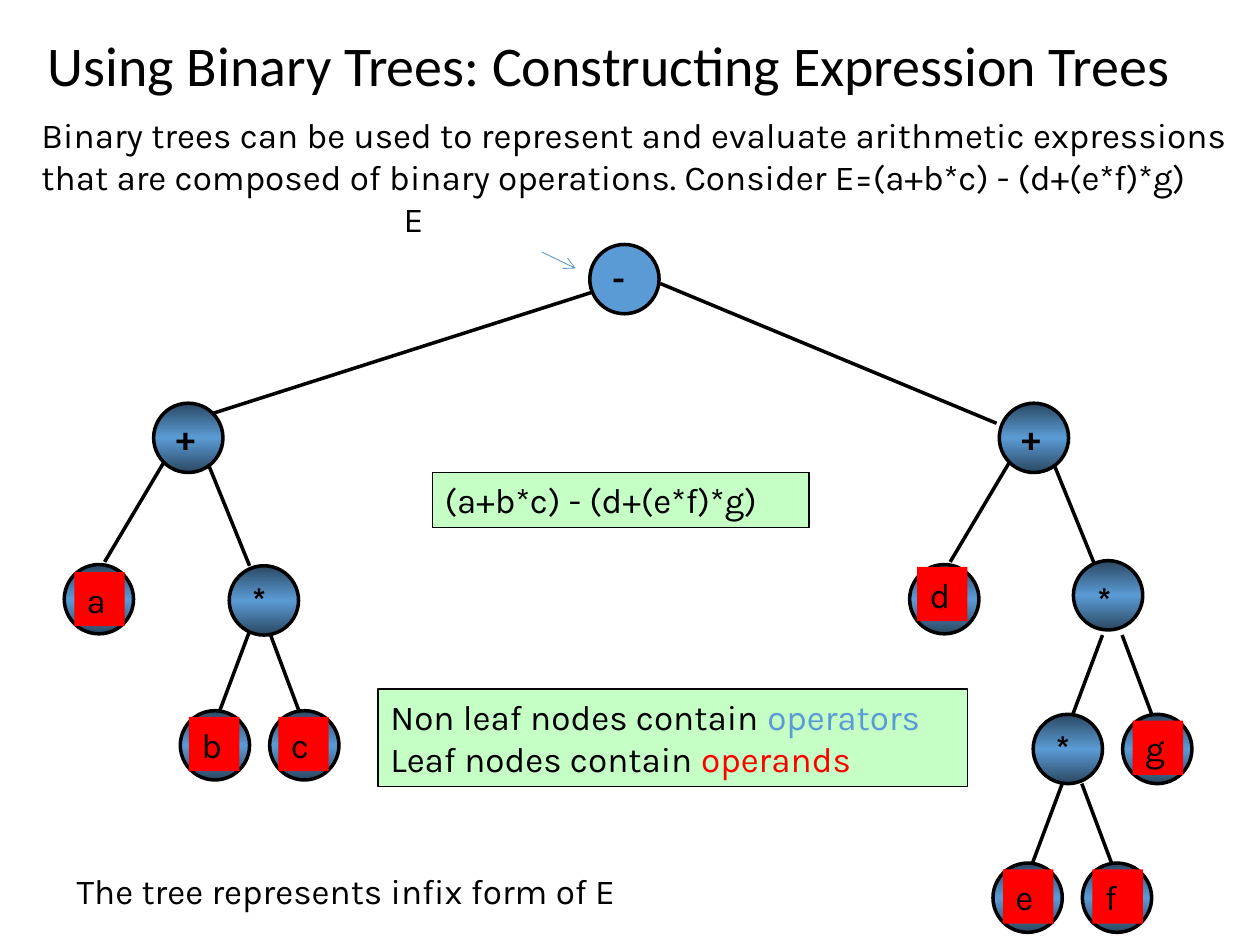
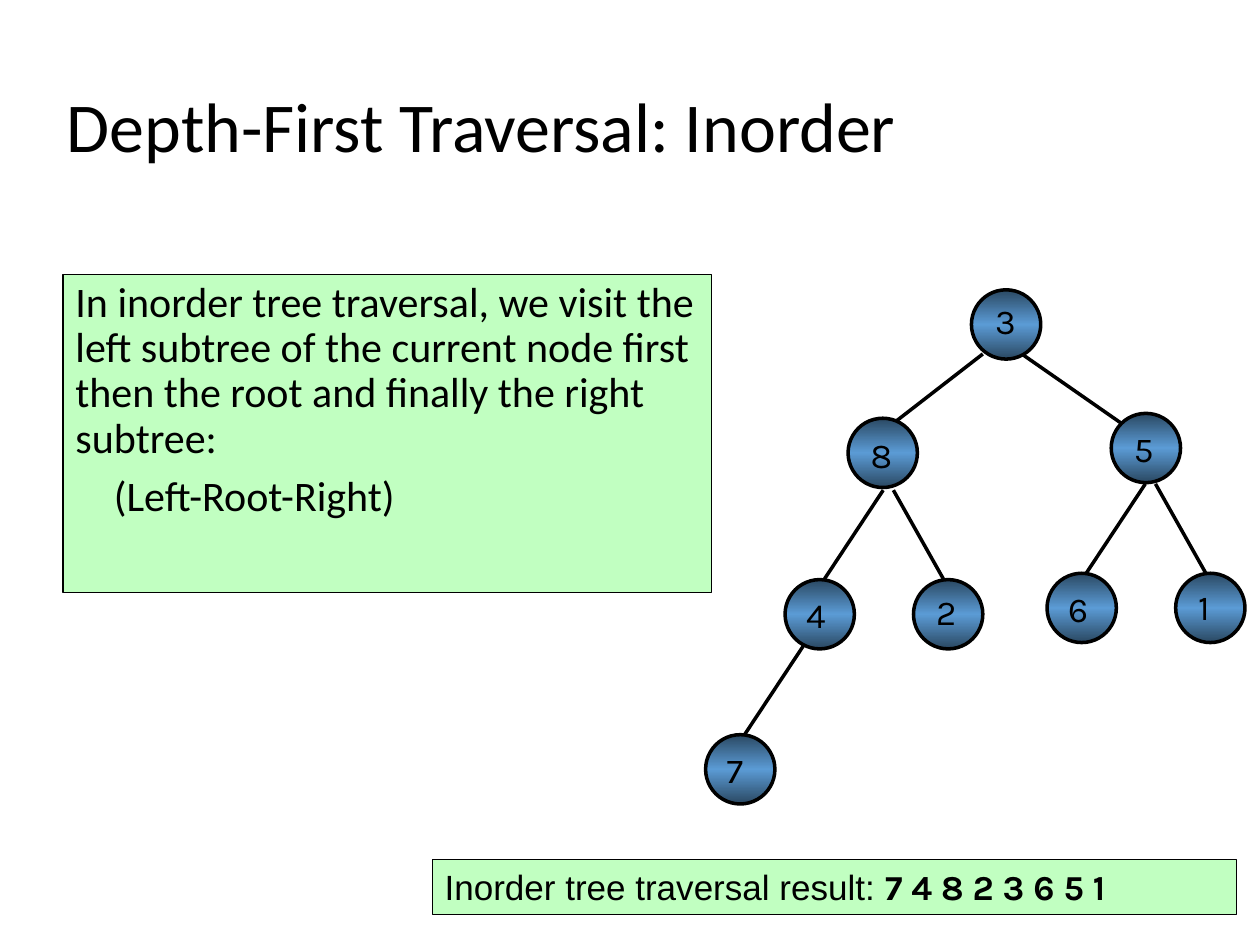
from copy import deepcopy

from lxml.etree import SubElement
from pptx import Presentation
from pptx.dml.color import RGBColor
from pptx.enum.shapes import MSO_CONNECTOR, MSO_SHAPE
from pptx.enum.text import MSO_ANCHOR, MSO_AUTO_SIZE, PP_ALIGN
from pptx.oxml.ns import qn
from pptx.util import Pt

BLACK = RGBColor(0x00, 0x00, 0x00)
BLUE = RGBColor(0x5B, 0x9B, 0xD5)
DARK_BLUE = RGBColor(0x2A, 0x48, 0x62)
RED = RGBColor(0xFF, 0x00, 0x00)
MINT = RGBColor(0xC5, 0xFF, 0xC5)
LIGHT_GREEN = RGBColor(0xC1, 0xFF, 0xC1)

NODE_SIZE = 39.6
LABEL_SIZE = (28.8, 31)


def add_span(para, text, font="Karla", size=20, color=BLACK, bold=False):
    span = para.add_run()
    span.text = text
    span.font.name = font
    span.font.size = Pt(size)
    span.font.color.rgb = color
    span.font.bold = bold


def add_para(frame, *spans, first=False, indent=0, before=0, spacing=1.0, **style):
    """Add a paragraph; each span is a text or a (text, own style) pair."""
    para = frame.paragraphs[0] if first else frame.add_paragraph()
    para.alignment = PP_ALIGN.LEFT
    para.line_spacing = spacing
    para.space_before = Pt(before)
    if indent:
        para._p.get_or_add_pPr().set("marL", str(int(Pt(indent))))
    for span in spans:
        text, own_style = (span, {}) if isinstance(span, str) else span
        add_span(para, text, **{**style, **own_style})


class TreeDeck:
    def __init__(self):
        self.deck = Presentation()
        self.deck.slide_width = Pt(720)
        self.deck.slide_height = Pt(540)
        self.page = None

    def add_page(self, title, left, top, width, height, size):
        self.page = self.deck.slides.add_slide(self.deck.slide_layouts[5])
        box = self.page.shapes.title
        box.left, box.top, box.width, box.height = map(Pt, (left, top, width, height))
        frame = self.prepare(box, MSO_ANCHOR.MIDDLE)
        add_para(frame, title, first=True, spacing=0.9, font="Calibri", size=size)

    def prepare(self, box, anchor=MSO_ANCHOR.TOP):
        frame = box.text_frame
        frame.word_wrap = True
        frame.auto_size = MSO_AUTO_SIZE.NONE
        frame.vertical_anchor = anchor
        return frame

    def text_box(self, left, top, width, height):
        box = self.page.shapes.add_textbox(Pt(left), Pt(top), Pt(width), Pt(height))
        return self.prepare(box)

    def shape(self, kind, left, top, width, height, fill=None, line_width=0):
        shape = self.page.shapes.add_shape(kind, Pt(left), Pt(top), Pt(width), Pt(height))
        shape.shadow.inherit = False
        if fill is not None:
            shape.fill.solid()
            shape.fill.fore_color.rgb = fill
        if line_width:
            shape.line.color.rgb = BLACK
            shape.line.width = Pt(line_width)
        else:
            shape.line.fill.background()
        return shape

    def panel(self, left, top, width, height, fill, line_width=0.75):
        box = self.shape(MSO_SHAPE.RECTANGLE, left, top, width, height, fill, line_width)
        return self.prepare(box)

    def edge(self, x1, y1, x2, y2, color=BLACK, width=2, arrow=False):
        line = self.page.shapes.add_connector(
            MSO_CONNECTOR.STRAIGHT, Pt(x1), Pt(y1), Pt(x2), Pt(y2))
        line.line.color.rgb = color
        line.line.width = Pt(width)
        if arrow:
            SubElement(line.line._get_or_add_ln(), qn("a:tailEnd"), type="arrow")
        SubElement(line._element.spPr, qn("a:effectLst"))

    def fork(self, x, y, gap, left_run, right_run, drop):
        """Draw the two edges below a node, starting a small gap apart."""
        self.edge(x, y, x - left_run, y + drop)
        self.edge(x + gap, y, x + gap + right_run, y + drop)

    def node(self, label, left, top, shift=(5.8, 3.6), fill=None, leaf=False, bold=False):
        circle = self.shape(MSO_SHAPE.OVAL, left, top, NODE_SIZE, NODE_SIZE, fill, 2)
        if fill is None:
            self.shade(circle)
        place = (left + shift[0], top + shift[1], *LABEL_SIZE)
        frame = self.panel(*place, RED, 0) if leaf else self.text_box(*place)
        add_para(frame, label, first=True, bold=bold)

    def shade(self, circle):
        """Fill with a vertical gradient: dark, blue, dark."""
        circle.fill.gradient()
        circle.fill.gradient_angle = 90
        stop_list = circle._element.spPr.find(".//" + qn("a:gsLst"))
        stop_list.insert(1, deepcopy(stop_list[0]))
        for stop, color, position in zip(
                circle.fill.gradient_stops, (DARK_BLUE, BLUE, DARK_BLUE), (0, 0.5, 1)):
            stop.color.rgb = color
            stop.position = position


def add_expression_tree(deck):
    deck.add_page("Using Binary Trees: Constructing Expression Trees",
                  20.2, 16.6, 699.8, 44.6, 32)

    deck.edge(338.4, 167, 121.7, 236.2)
    deck.edge(377.3, 162, 569.5, 241.9)
    plus_top = 230.4
    for plus_left in (87.8, 571):
        deck.edge(plus_left + 5.8, plus_top + 33.8, plus_left - 28, plus_top + 90.7)
        deck.edge(plus_left + 31.7, plus_top + 36, plus_left + 54.8, plus_top + 92.9)
    for x, y in ((142.6, 360.7), (630, 362.9), (607, 447.8)):
        deck.fork(x, y, gap=11.2, left_run=17, right_run=17, drop=45.4)

    deck.node("-", 337, 139.7, fill=BLUE, bold=True)
    operators = (
        ("+", 87.8, plus_top), ("+", 571, plus_top), ("*", 131, 323.3),
        ("*", 613.4, 320.4, (6.5, 6.5)), ("*", 590.4, 408.2),
    )
    for operator in operators:
        deck.node(*operator, bold=True)
    operands = (
        ("a", 36.7, 322.6, (5.8, 4.3)), ("b", 103, 406.1, (5, 3.6)),
        ("c", 154.1, 406.1, (5, 3.6)), ("d", 519.8, 322.6, (4.3, 1.4)),
        ("e", 567.4, 493.2), ("f", 618.5, 493.2), ("g", 641.5, 408.2),
    )
    for operand in operands:
        deck.node(*operand, leaf=True)

    formula = deck.panel(247, 270, 215.3, 31.5, MINT)
    add_para(formula, "(a+b*c) - (d+(e*f)*g)", first=True)
    legend = deck.panel(216, 393.8, 337, 55.8, MINT)
    add_para(legend, "Non leaf nodes contain ", ("operators", {"color": BLUE}), first=True)
    add_para(legend, "Leaf nodes contain ", ("operands", {"color": RED}))

    intro = deck.text_box(16.6, 61.2, 707, 84)
    add_para(intro, "Binary trees can be used to represent and evaluate arithmetic "
             "expressions that are composed of binary operations. "
             "Consider E=(a+b*c) - (d+(e*f)*g)", first=True)
    add_para(intro, "E", indent=207)
    deck.edge(309.6, 144, 329, 153.4, color=BLUE, width=0.5, arrow=True)
    caption = deck.text_box(36.7, 493.2, 374.4, 31.5)
    add_para(caption, "The tree represents infix form of E", first=True)


def add_inorder_traversal(deck):
    deck.add_page("Depth-First Traversal: Inorder", 31, 16.6, 689, 115.2, 40)

    body = deck.panel(36, 157, 370.8, 181.4, LIGHT_GREEN)
    style = {"font": "Calibri", "size": 24, "spacing": 0.9}
    add_para(body, "In inorder tree traversal, we visit the left subtree of the current "
             "node first then the root and finally the right subtree:", first=True, **style)
    add_para(body, "(Left-Root-Right)", indent=22, before=7.5, **style)

    deck.edge(561.6, 202.3, 510.5, 241.9)
    deck.edge(583.9, 202.3, 640.8, 241.9)
    deck.edge(459.4, 368.6, 425.5, 419.8)
    for x, y in ((504.7, 280.1), (654.5, 276.5)):
        deck.fork(x, y, gap=5.8, left_run=33.8, right_run=28.8, drop=51.1)

    nodes = (
        ("3", 555.1, 165.6, (6.5, 2.2)), ("8", 484.6, 239, (5.8, 5)),
        ("5", 635, 236.2, (5.8, 4.3)), ("4", 448.6, 331.2, (5, 4.3)),
        ("2", 522, 331.2, (5.8, 2.9)), ("6", 598.3, 327.6, (5, 4.3)),
        ("1", 671.8, 327.6), ("7", 403.2, 419.8, (5, 4.3)),
    )
    for node in nodes:
        deck.node(*node)

    result = deck.panel(247, 491, 459.4, 31.7, LIGHT_GREEN)
    add_para(result, ("Inorder tree traversal result: ", {"font": "Arial"}),
             ("7 4 8 2 3 6 5 1", {"bold": True}), first=True)


def main():
    tree_deck = TreeDeck()
    add_expression_tree(tree_deck)
    add_inorder_traversal(tree_deck)
    tree_deck.deck.save("out.pptx")


if __name__ == "__main__":
    main()
